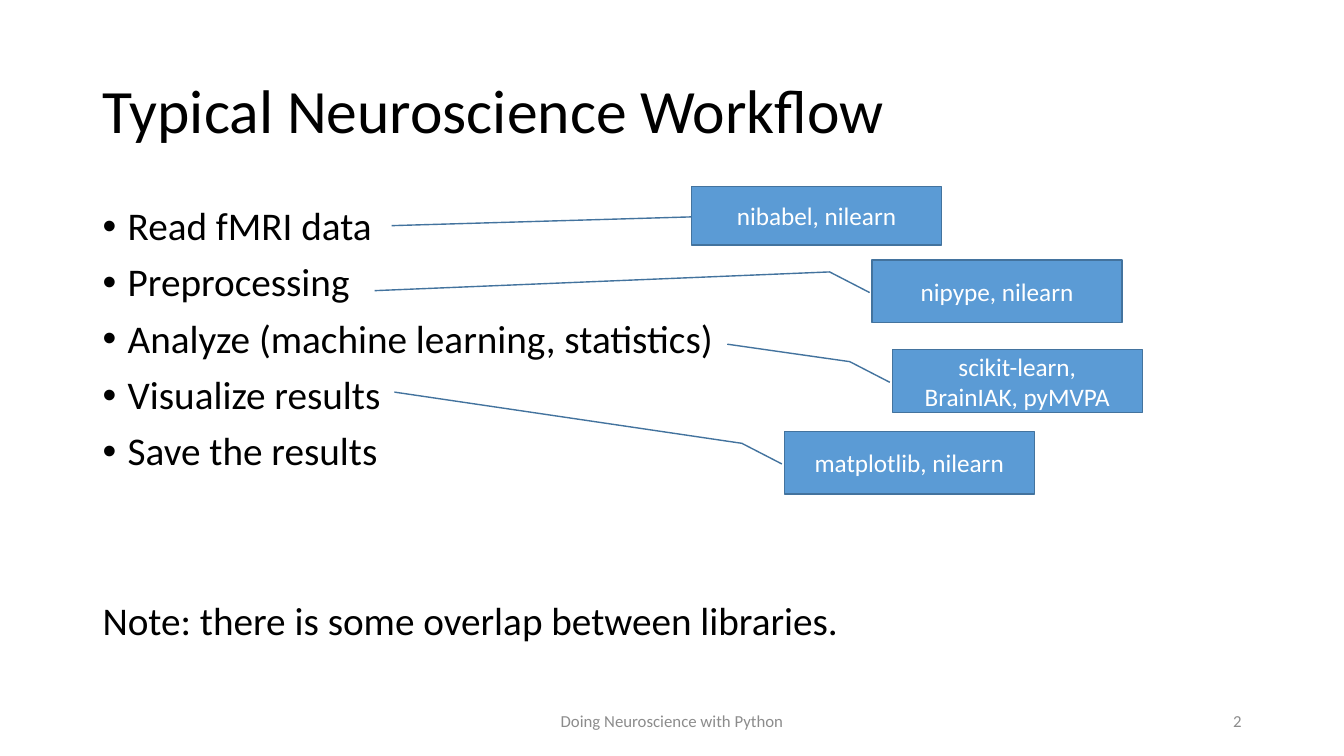
import dataclasses

import lxml.etree
import pptx
import pptx.dml.color
import pptx.enum.shapes
import pptx.enum.text
import pptx.oxml.ns
import pptx.util

ALIGN = pptx.enum.text.PP_ALIGN
ANCHOR = pptx.enum.text.MSO_ANCHOR
SHAPE = pptx.enum.shapes.MSO_SHAPE


@dataclasses.dataclass(frozen=True)
class Theme:
    """Colours, typeface and type sizes of the slide."""
    font: str = "Calibri"
    ink: str = "000000"
    muted: str = "8C8C8C"
    light: str = "FFFFFF"
    fill: str = "5B9BD5"
    line: str = "43739E"
    title: int = 44
    body: int = 28
    label: int = 18
    footer: int = 12


THEME = Theme()
WIDTH, HEIGHT = pptx.util.Inches(13.33), pptx.util.Inches(7.5)
MARGIN, CONTENT = 6.88, 86.25
FOOTER_TOP, FOOTER_HEIGHT = 92.67, 5.33
STEPS = ["Read fMRI data", "Preprocessing", "Analyze (machine learning, statistics)",
         "Visualize results", "Save the results"]
NOTE = "Note: there is some overlap between libraries."
ELBOW = (0.52, -0.01, 0.19, -0.17)
CALLOUTS = [
    (["nibabel, nilearn"], 51.46, 24.67, 7.73, SHAPE.LINE_CALLOUT_1, (0.52, 0, 0.67, -1.2)),
    (["nipype, nilearn"], 64.89, 34.4, 8.27, SHAPE.LINE_CALLOUT_2, ELBOW + (0.49, -1.99)),
    (["scikit-learn,", "BrainIAK, pyMVPA"], 66.39, 46.27, 8.27, SHAPE.LINE_CALLOUT_2,
     ELBOW + (-0.09, -0.66)),
    (["matplotlib, nilearn"], 58.36, 57.07, 8.27, SHAPE.LINE_CALLOUT_2, ELBOW + (-0.63, -1.56)),
]


def rgb(value):
    """Return a colour object for a hex string."""
    return pptx.dml.color.RGBColor.from_string(value)


def area(left, top, width, height):
    """Turn percentages of the slide into left, top, width and height."""
    return (int(WIDTH * left / 100), int(HEIGHT * top / 100),
            int(WIDTH * width / 100), int(HEIGHT * height / 100))


def write(tf, lines, size, color=THEME.ink, align=ALIGN.LEFT, anchor=ANCHOR.MIDDLE,
          spacing=1.0, before=0):
    """Fill a text frame with formatted paragraphs and return them."""
    tf.word_wrap = True
    tf.auto_size = pptx.enum.text.MSO_AUTO_SIZE.NONE
    tf.vertical_anchor = anchor
    tf.text = "\n".join(lines)
    for p in tf.paragraphs:
        p.alignment = align
        p.line_spacing = spacing
        p.space_before = pptx.util.Pt(before)
        for r in p.runs:
            r.font.name = THEME.font
            r.font.size = pptx.util.Pt(size)
            r.font.color.rgb = rgb(color)
    return tf.paragraphs


def set_bullet(p, char=None):
    """Give a paragraph a hanging bullet, or none."""
    ppr = p._p.get_or_add_pPr()
    indent = pptx.util.Inches(0.25) if char else 0
    ppr.set("marL", str(indent))
    ppr.set("indent", str(-indent))
    if char:
        font = lxml.etree.SubElement(ppr, pptx.oxml.ns.qn("a:buFont"))
        font.set("typeface", "Arial")
        bullet = lxml.etree.SubElement(ppr, pptx.oxml.ns.qn("a:buChar"))
        bullet.set("char", char)
    else:
        lxml.etree.SubElement(ppr, pptx.oxml.ns.qn("a:buNone"))


def place(sp, box):
    """Move a placeholder to a box."""
    sp.left, sp.top, sp.width, sp.height = box


def add_callout(s, lines, left, top, height, kind, pointer):
    """Add a library box with a leader line to its workflow step."""
    sp = s.shapes.add_shape(kind, *area(left, top, 18.6, height))
    sp.shadow.inherit = False
    sp.fill.solid()
    sp.fill.fore_color.rgb = rgb(THEME.fill)
    sp.line.color.rgb = rgb(THEME.line)
    sp.line.width = pptx.util.Pt(1)
    for i, value in enumerate(pointer):
        sp.adjustments[i] = value
    write(sp.text_frame, lines, THEME.label, color=THEME.light, align=ALIGN.CENTER)


def add_footer(s, text, left, width, align):
    """Add a small grey text at the foot of the slide."""
    sp = s.shapes.add_textbox(*area(left, FOOTER_TOP, width, FOOTER_HEIGHT))
    write(sp.text_frame, [text], THEME.footer, color=THEME.muted, align=align)


def main():
    """Build the workflow slide and save it."""
    prs = pptx.Presentation()
    prs.slide_width, prs.slide_height = WIDTH, HEIGHT
    s = prs.slides.add_slide(prs.slide_layouts[1])

    title, body = s.placeholders
    place(title, area(MARGIN, 5.33, CONTENT, 19.33))
    write(title.text_frame, ["Typical Neuroscience Workflow"], THEME.title, spacing=0.9)

    place(body, area(MARGIN, 26.67, CONTENT, 63.47))
    *steps, note = write(body.text_frame, STEPS + [NOTE], THEME.body,
                         anchor=ANCHOR.TOP, spacing=0.9, before=10)
    for p in steps:
        set_bullet(p, "•")
    set_bullet(note)
    note.space_before = pptx.util.Pt(90.5)

    for callout in CALLOUTS:
        add_callout(s, *callout)

    add_footer(s, "Doing Neuroscience with Python", 33.13, 33.75, ALIGN.CENTER)
    add_footer(s, "2", 70.63, 22.5, ALIGN.RIGHT)
    prs.save("out.pptx")


if __name__ == "__main__":
    main()
